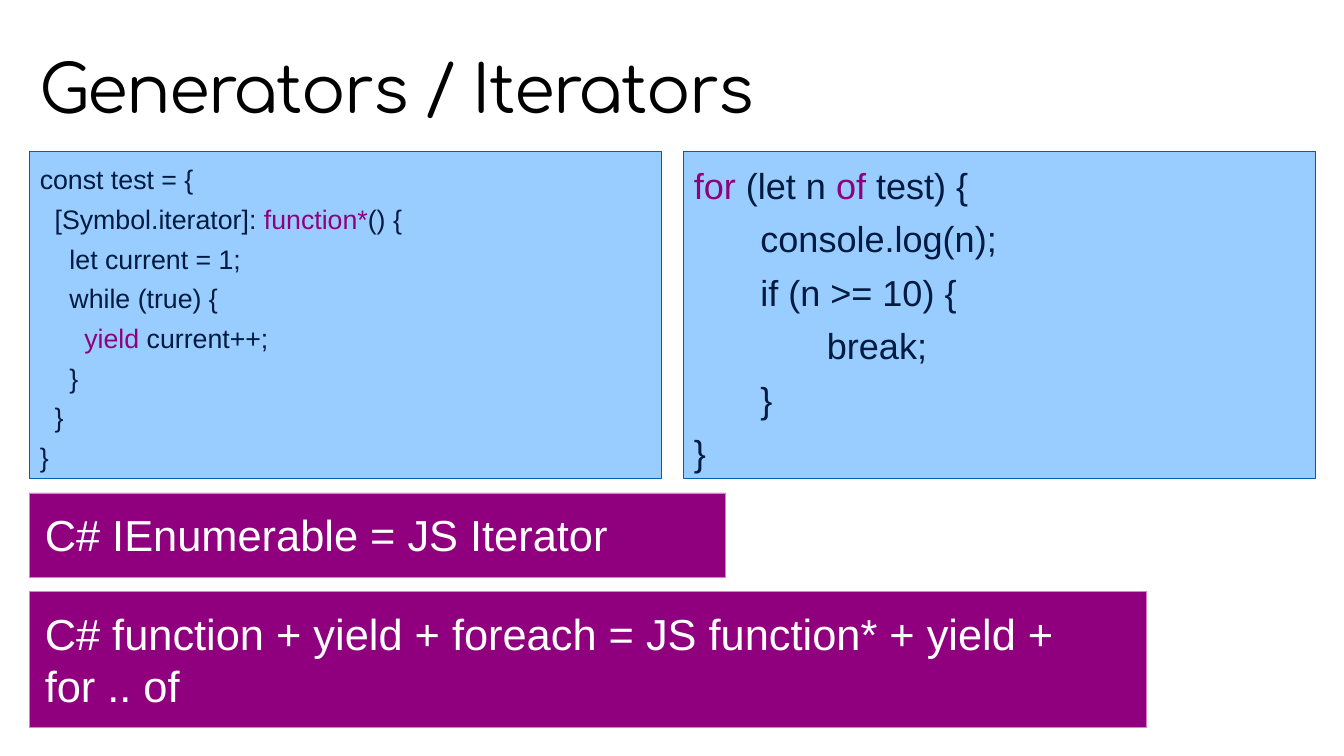
from dataclasses import dataclass

import pptx
import pptx.dml.color
import pptx.enum.shapes
import pptx.enum.text
import pptx.util

WIDE, HIGH = 26.67, 15
PLUM, NAVY, WHITE = "90007E", "001A40", "FFFFFF"
MARK = "|"  # encloses the keywords in a line of code


@dataclass
class Box:
    """A filled box; x, y, w and h are percentages of the slide."""
    x: float
    y: float
    w: float
    h: float
    lines: list[tuple[int, str]]  # indent level and text
    size: float
    fill: str
    edge: str
    ink: str
    inset: float
    space: float = 0
    pitch: float = 1
    step: float = 0  # indent of one level, inches
    wrap: bool = True


def code(x: float, lines: list[tuple[int, str]], size: float,
         space: float, step: float) -> Box:
    return Box(x, 20.07, 47.02, 43.2, lines, size, "9ACDFF", "0060AC", NAVY,
               0.2, space, 1.04, step)


def note(y: float, w: float, h: float, text: str, wrap: bool) -> Box:
    return Box(2.17, y, w, h, [(0, text)], 62, PLUM, "D97FCE", WHITE,
               0.31, wrap=wrap)


BOXES = [
    code(2.21, [
        (0, "const test = {"),
        (1, "[Symbol.iterator]: |function*|() {"),
        (2, "let current = 1;"),
        (2, "while (true) {"),
        (3, "|yield| current++;"),
        (2, "}"),
        (1, "}"),
        (0, "}"),
    ], 38.2, 9, 0.295),
    code(50.88, [
        (0, "|for| (let n |of| test) {"),
        (1, "console.log(n);"),
        (1, "if (n >= 10) {"),
        (2, "break;"),
        (1, "}"),
        (0, "}"),
    ], 51.5, 12, 1.32),
    note(65.2, 51.82, 11.13, "C# IEnumerable = JS Iterator", False),
    note(78.2, 83.16, 18,
         "C# function + yield + foreach = JS function* + yield + for .. of",
         True),
]


def color(code: str) -> pptx.dml.color.RGBColor:
    return pptx.dml.color.RGBColor.from_string(code)


def place(x: float, y: float, w: float, h: float) -> list[int]:
    """Turn percentages of the slide into lengths."""
    sides = (WIDE, HIGH, WIDE, HIGH)
    return [pptx.util.Inches(part * side / 100)
            for part, side in zip((x, y, w, h), sides)]


def apply(item, form: dict) -> None:
    for name, value in form.items():
        setattr(item, name, value)


def frame(body, inset: float, anchor, wrap: bool = True) -> None:
    gap = pptx.util.Inches(inset)
    sides = ("left", "top", "right", "bottom")
    apply(body, {f"margin_{side}": gap for side in sides})
    apply(body, {"vertical_anchor": anchor, "word_wrap": wrap,
                 "auto_size": pptx.enum.text.MSO_AUTO_SIZE.NONE})


def write(para, text: str, size: float, ink: str, face: str = "Arial") -> None:
    para.alignment = pptx.enum.text.PP_ALIGN.LEFT
    for spot, part in enumerate(text.split(MARK)):
        if part:
            run = para.add_run()
            run.text = part
            apply(run.font, {"size": pptx.util.Pt(size), "name": face})
            run.font.color.rgb = color(PLUM if spot % 2 else ink)


def draw(slide, box: Box) -> None:
    shape = slide.shapes.add_shape(
        pptx.enum.shapes.MSO_SHAPE.RECTANGLE,
        *place(box.x, box.y, box.w, box.h))
    shape.shadow.inherit = False
    shape.fill.solid()
    shape.fill.fore_color.rgb = color(box.fill)
    shape.line.color.rgb = color(box.edge)
    shape.line.width = pptx.util.Pt(1)
    body = shape.text_frame
    frame(body, box.inset, pptx.enum.text.MSO_ANCHOR.TOP, box.wrap)
    for spot, (level, text) in enumerate(box.lines):
        para = body.add_paragraph() if spot else body.paragraphs[0]
        apply(para, {"space_before": pptx.util.Pt(box.space),
                     "line_spacing": box.pitch})
        indent = pptx.util.Inches(level * box.step)
        para._p.get_or_add_pPr().set("marL", str(indent))
        write(para, text, box.size, box.ink)


def head(slide, text: str) -> None:
    title = slide.shapes.title
    sides = ("left", "top", "width", "height")
    apply(title, dict(zip(sides, place(2.21, 4.27, 95.61, 14.53))))
    frame(title.text_frame, 0.2, pptx.enum.text.MSO_ANCHOR.MIDDLE)
    para = title.text_frame.paragraphs[0]
    write(para, text, 94, "000000", "Comfortaa")
    para.runs[0].font._element.set("spc", "-200")


def main() -> None:
    deck = pptx.Presentation()
    apply(deck, {"slide_width": pptx.util.Inches(WIDE),
                 "slide_height": pptx.util.Inches(HIGH)})
    slide = deck.slides.add_slide(deck.slide_layouts.get_by_name("Title Only"))
    head(slide, "Generators / Iterators")
    for box in BOXES:
        draw(slide, box)
    deck.save("out.pptx")


if __name__ == "__main__":
    main()
